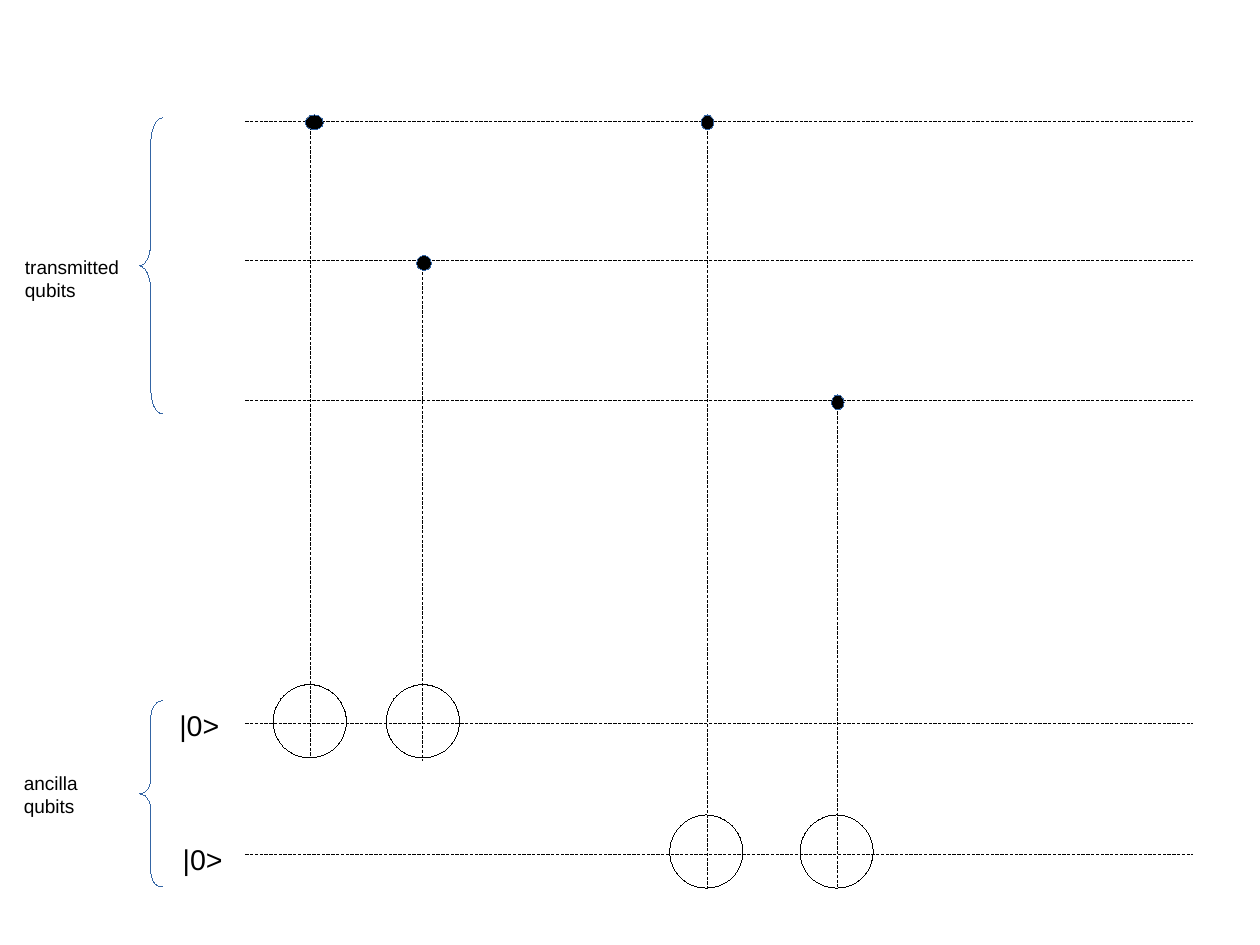
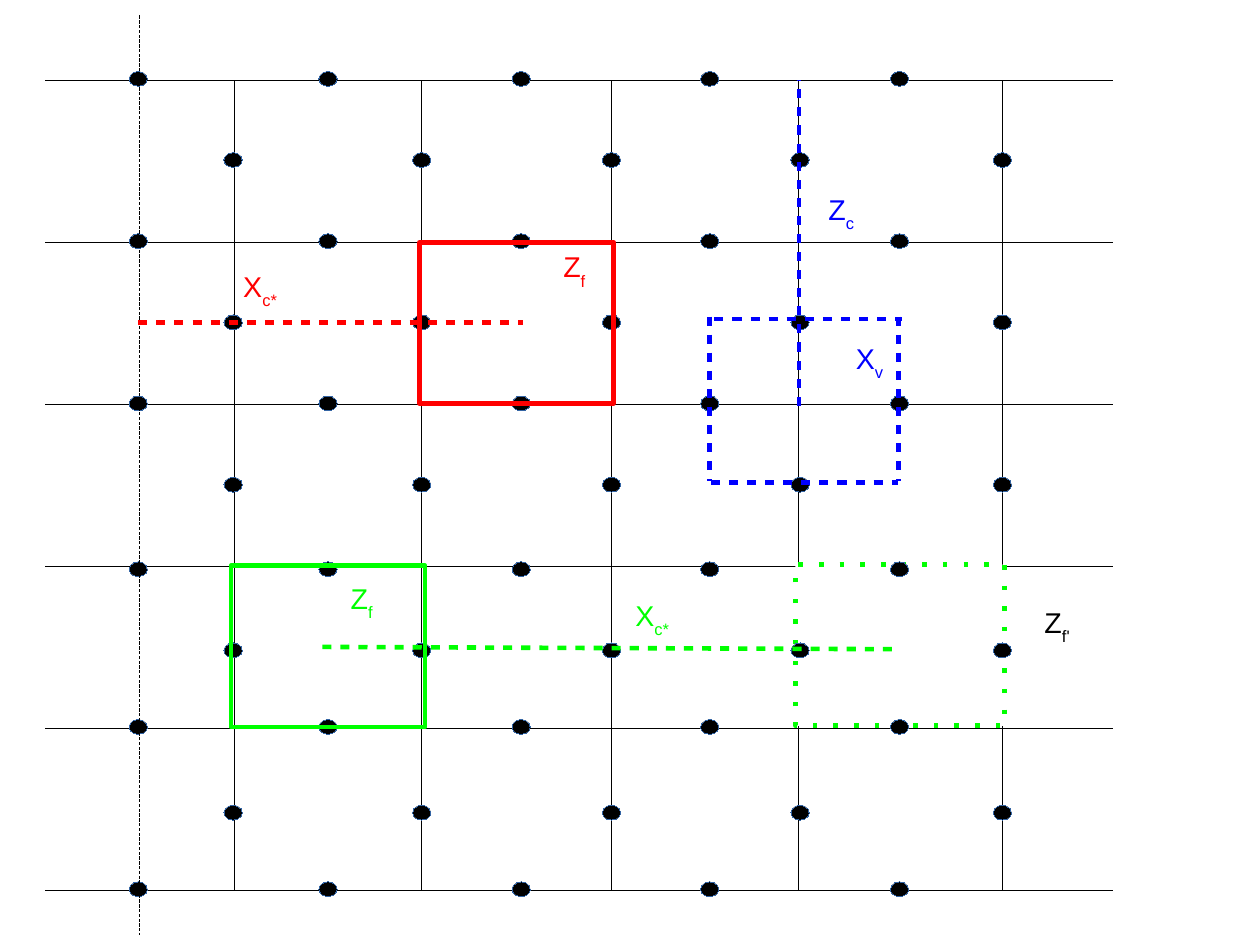
from itertools import product

from lxml import etree
from pptx import Presentation
from pptx.dml.color import RGBColor
from pptx.enum.shapes import MSO_CONNECTOR, MSO_SHAPE
from pptx.oxml.ns import qn
from pptx.util import Cm, Inches, Pt

STRAIGHT = MSO_CONNECTOR.STRAIGHT
ELLIPSE, RECTANGLE, BRACE = MSO_SHAPE.OVAL, MSO_SHAPE.RECTANGLE, MSO_SHAPE.LEFT_BRACE

SLIDE_WIDTH_CM, SLIDE_HEIGHT_CM = 28, 21
FONT = "Arial"
BLACK, WHITE, EDGE = "000000", "FFFFFF", "3465A4"
RED, BLUE, GREEN = "FF0000", "0000FF", "00FF00"
# A width of exactly 0 would fall back to the theme's line width
HAIRLINE, THICK = 0.01, 2.89
# Dash and gap, in percent of the line width
DASHED, DOTTED = (197, 197), (100, 350)

# Circuit: wires, gates and labels
WIRE_LEFT, WIRE_RIGHT = 2.15, 10.43
WIRES = [1.06, 2.28, 3.5, 6.33, 7.48]
TARGET_SIZE = 0.64
# line x, control (x, y, width), target centre (x, y), foot of the line
GATES = [
    (2.72, (2.75, 1.07, 0.16), (2.71, 6.31), 6.61),
    (3.7, (3.71, 2.3, 0.13), (3.7, 6.31), 6.65),
    (6.19, (6.19, 1.07, 0.11), (6.18, 7.45), 7.77),
    (7.33, (7.33, 3.52, 0.11), (7.32, 7.45), 7.76),
]
BRACES = [(1.03, 2.59), (6.13, 1.63)]
QUBIT_GROUPS = [
    (0.12, 2.19, ["transmitted", "qubits"]),
    (0.11, 6.7, ["ancilla", "qubits"]),
]
KETS = [(1.5, 7.32), (1.47, 6.14)]

# Lattice: grid, qubits on its edges, operators
GRID_LEFT, GRID_RIGHT = 0.4, 9.73
GRID_TOP, ROW_PITCH, ROW_COUNT = 0.7, 1.418, 6
COLUMNS = [2.05, 3.69, 5.35, 6.99, 8.77]
ROW_QUBITS = ([1.21, 2.87, 4.56, 6.21, 7.87], [0.69, 2.11, 3.53, 4.98, 6.36, 7.78])
COLUMN_QUBITS = ([2.04, 3.69, 5.35, 7.0, 8.77], [1.4, 2.82, 4.24, 5.69, 7.11])
AXIS = (1.22, 0.14, 1.22, 8.18)
FACES = [(3.67, 2.12, RED), (2.02, 4.95, GREEN)]
FACE_WIDTH, FACE_HEIGHT = 1.7, 1.41
SHIFTED_FACE = (6.96, 4.94, 1.83, FACE_HEIGHT)
CHAINS = [
    (1.21, 2.82, 4.58, 2.82, RED),
    (6.21, 2.77, 6.21, 4.21, BLUE),
    (7.86, 2.77, 7.86, 4.21, BLUE),
    (6.25, 2.79, 7.89, 2.79, BLUE),
    (6.22, 4.22, 7.86, 4.22, BLUE),
    (6.99, 3.55, 6.99, 0.7, BLUE),
    (2.82, 5.66, 7.87, 5.68, GREEN),
]
OPERATORS = [
    (4.83, 2.13, 1, "Z", "f", RED),
    (2.03, 2.3, 1, "X", "c*", RED),
    (7.15, 1.63, 1, "Z", "c", BLUE),
    (7.39, 2.93, 1, "X", "v", BLUE),
    (2.97, 5.03, 1, "Z", "f", GREEN),
    (5.46, 5.18, 1, "X", "c*", GREEN),
    (9.04, 5.24, 0.56, "Z", "f'", BLACK),
]


def rgb(color):
    return RGBColor.from_string(color)


def style_line(shape, color, width, dash):
    shape.line.color.rgb = rgb(color)
    shape.line.width = Pt(width)
    if dash:
        outline = shape._element.spPr.find(qn("a:ln"))
        pattern = etree.SubElement(outline, qn("a:custDash"))
        length, gap = (str(percent * 1000) for percent in dash)
        etree.SubElement(pattern, qn("a:ds"), d=length, sp=gap)


def add_line(slide, x1, y1, x2, y2, color=BLACK, width=HAIRLINE, dash=None):
    points = [Inches(value) for value in (x1, y1, x2, y2)]
    line = slide.shapes.add_connector(STRAIGHT, *points)
    style_line(line, color, width, dash)
    etree.SubElement(line._element.spPr, qn("a:effectLst"))


def add_figure(slide, kind, box, color=BLACK, width=HAIRLINE, fill=None, dash=None):
    shape = slide.shapes.add_shape(kind, *[Inches(value) for value in box])
    shape.shadow.inherit = False
    if fill:
        shape.fill.solid()
        shape.fill.fore_color.rgb = rgb(fill)
    else:
        shape.fill.background()
    style_line(shape, color, width, dash)
    return shape


def add_qubit(slide, x, y, width=0.16, height=0.13):
    """Draw a black dot centred on a point."""
    box = (x - width / 2, y - height / 2, width, height)
    add_figure(slide, ELLIPSE, box, EDGE, fill=BLACK)


def add_text(slide, box, paragraphs, size, color=BLACK):
    """Each paragraph is a list of (text, is_subscript) runs."""
    frame = slide.shapes.add_textbox(*[Inches(value) for value in box]).text_frame
    frame.word_wrap = True
    for index, runs in enumerate(paragraphs):
        paragraph = frame.add_paragraph() if index else frame.paragraphs[0]
        for text, is_subscript in runs:
            run = paragraph.add_run()
            run.text = text
            run.font.name, run.font.size = FONT, Pt(size)
            run.font.color.rgb = rgb(color)
            if is_subscript:
                run._r.get_or_add_rPr().set("baseline", "-33000")


def build_circuit(slide):
    for left, top in KETS:
        add_text(slide, (left, top, 1.01, 0.38), [[("|0>", False)]], 18)
    for y in WIRES:
        add_line(slide, WIRE_LEFT, y, WIRE_RIGHT, y, dash=DASHED)
    for top, height in BRACES:
        width = 0.2
        brace = add_figure(slide, BRACE, (1.22, top, width, height), EDGE)
        brace.adjustments[0] = height / 12 / width
    for left, top, lines in QUBIT_GROUPS:
        add_text(slide, (left, top, 1.57, 0.87), [[(line, False)] for line in lines], 12)
    for x, (control_x, control_y, width), (target_x, target_y), foot in GATES:
        add_line(slide, x, control_y, x, foot, dash=DASHED)
        add_qubit(slide, control_x, control_y, width)
        corner = (target_x - TARGET_SIZE / 2, target_y - TARGET_SIZE / 2)
        add_figure(slide, ELLIPSE, (*corner, TARGET_SIZE, TARGET_SIZE))


def build_lattice(slide):
    rows = [GRID_TOP + index * ROW_PITCH for index in range(ROW_COUNT)]
    for y in rows:
        add_line(slide, GRID_LEFT, y, GRID_RIGHT, y)
    for x in COLUMNS:
        add_line(slide, x, rows[0], x, rows[-1])
    add_figure(slide, RECTANGLE, SHIFTED_FACE, GREEN, THICK, WHITE, DOTTED)
    for xs, ys in (ROW_QUBITS, COLUMN_QUBITS):
        for x, y in product(xs, ys):
            add_qubit(slide, x, y)
    add_line(slide, *AXIS, dash=DASHED)
    for left, top, color in FACES:
        add_figure(slide, RECTANGLE, (left, top, FACE_WIDTH, FACE_HEIGHT), color, THICK)
    for *ends, color in CHAINS:
        add_line(slide, *ends, color, THICK, DASHED)
    for left, top, width, letter, subscript, color in OPERATORS:
        runs = [(letter, False), (subscript, True)]
        add_text(slide, (left, top, width, 0.44), [runs], 18, color)


def main():
    presentation = Presentation()
    presentation.slide_width = Cm(SLIDE_WIDTH_CM)
    presentation.slide_height = Cm(SLIDE_HEIGHT_CM)
    blank = presentation.slide_layouts[6]
    for build in (build_circuit, build_lattice):
        build(presentation.slides.add_slide(blank))
    presentation.save("out.pptx")


if __name__ == "__main__":
    main()
